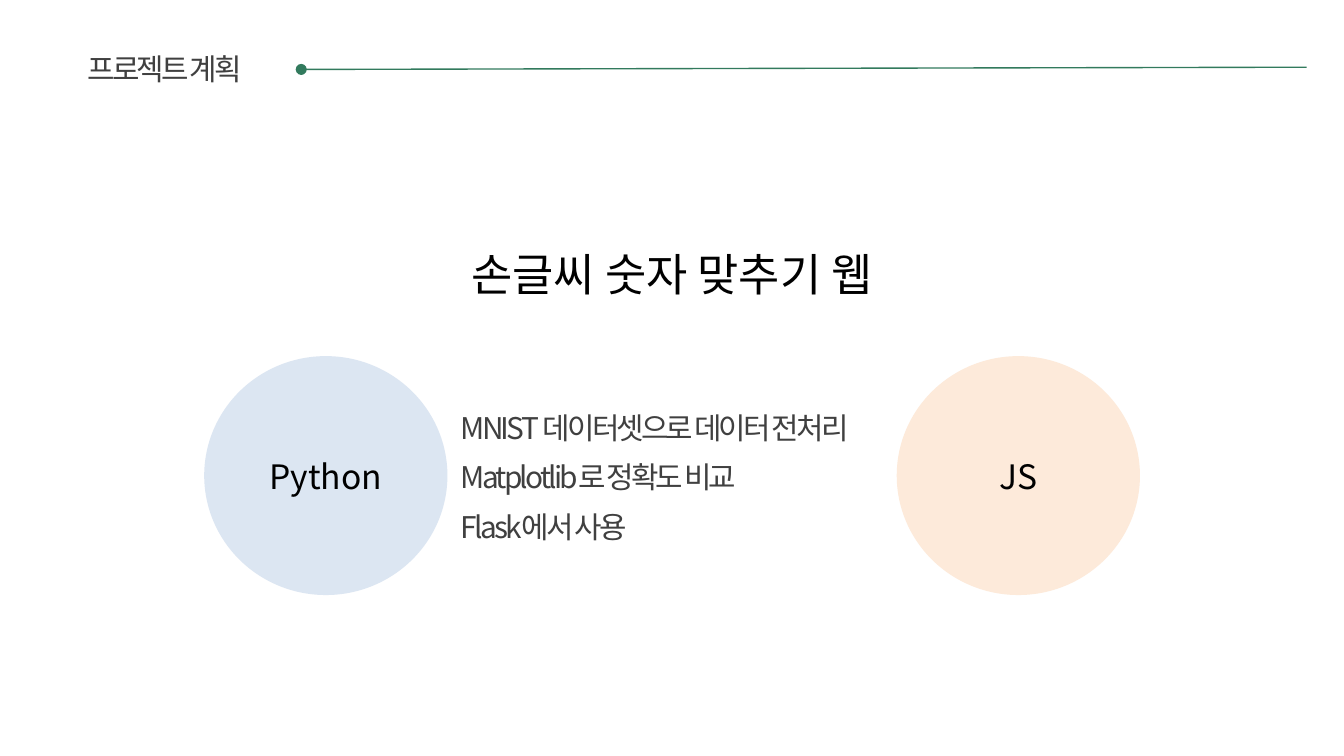
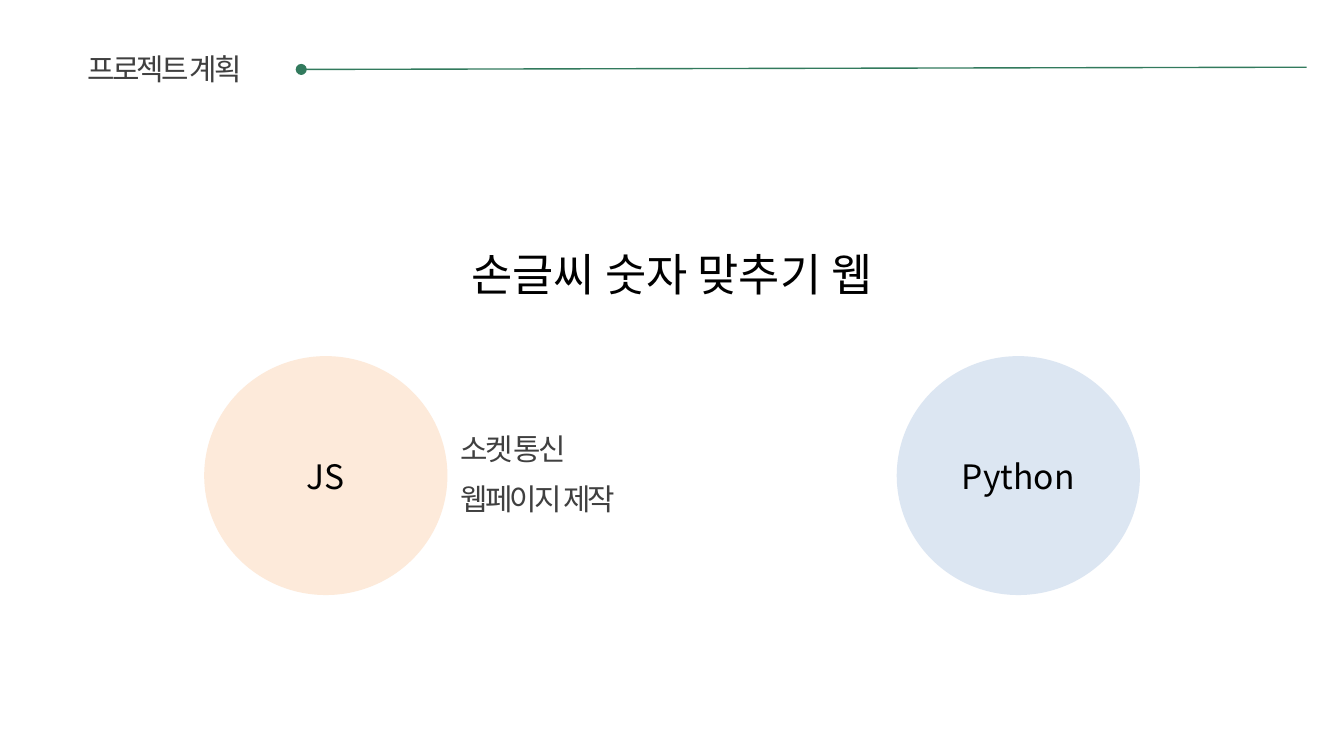
from pptx import Presentation
from pptx.util import Pt
from pptx.dml.color import RGBColor
from pptx.enum.shapes import MSO_CONNECTOR, MSO_SHAPE
from pptx.enum.text import MSO_ANCHOR, MSO_AUTO_SIZE, PP_ALIGN
from pptx.oxml.ns import qn
from lxml.etree import SubElement

FONT = "Noto Sans CJK KR"
GREEN, GRAY, BLACK = "327A5D", "404040", "000000"
BLUE, PEACH = "DCE6F2", "FDEADA"


def rgb(color):
    return RGBColor.from_string(color)


def write(sp, text, size, color, align=PP_ALIGN.CENTER, spacing=None):
    """Fill a shape with one paragraph; spacing is in hundredths of a point."""
    tf = sp.text_frame
    tf.word_wrap = True
    p = tf.paragraphs[0]
    p.text = text
    p.alignment = align
    p.font.size = Pt(size)
    p.font.name = FONT
    p.font.color.rgb = rgb(color)
    props = p._p.pPr.find(qn("a:defRPr"))
    SubElement(props, qn("a:ea")).set("typeface", FONT)
    if spacing:
        props.set("spc", str(spacing))
    return tf


prs = Presentation()
prs.slide_width, prs.slide_height = Pt(720), Pt(405)

# Each slide: left circle, right circle, top of the notes, step, notes
python, js = ("Python", BLUE), ("JS", PEACH)
slides = [
    (python, js, 216, 26.4,
     ["MNIST 데이터셋으로 데이터 전처리", "Matplotlib로 정확도 비교", "Flask에서 사용"]),
    (js, python, 227, 27, ["소켓 통신", "웹페이지 제작"]),
]

for left, right, top, step, notes in slides:
    s = prs.slides.add_slide(prs.slide_layouts[6])

    # Header rule with a round head
    rule = s.shapes.add_connector(
        MSO_CONNECTOR.STRAIGHT, Pt(161.4), Pt(37.2), Pt(700), Pt(36))
    rule.line.color.rgb = rgb(GREEN)
    rule.line.width = Pt(0.75)
    SubElement(rule.line._get_or_add_ln(), qn("a:headEnd")).set("type", "oval")
    SubElement(rule._element.spPr, qn("a:effectLst"))

    # Header and project title
    header = s.shapes.add_textbox(Pt(14.4), Pt(23.8), Pt(147.6), Pt(26.6))
    tf = write(header, "프로젝트 계획", 16, GRAY, spacing=-150)
    tf.auto_size = MSO_AUTO_SIZE.SHAPE_TO_FIT_TEXT
    title = s.shapes.add_textbox(Pt(54), Pt(100), Pt(612), Pt(116))
    tf = write(title, "손글씨 숫자 맞추기 웹", 24, BLACK)
    tf.auto_size = MSO_AUTO_SIZE.SHAPE_TO_FIT_TEXT
    tf.paragraphs[0].line_spacing = 2.0

    # Language circles
    for x, (name, fill) in zip((109.4, 480.4), (left, right)):
        sp = s.shapes.add_shape(MSO_SHAPE.OVAL, Pt(x), Pt(190.8), Pt(130.3), Pt(128))
        sp.shadow.inherit = False
        sp.fill.solid()
        sp.fill.fore_color.rgb = rgb(fill)
        sp.line.fill.background()
        tf = write(sp, name, 18, BLACK)
        tf.vertical_anchor = MSO_ANCHOR.MIDDLE

    # Notes beside the left circle
    for i, note in enumerate(notes):
        sp = s.shapes.add_textbox(Pt(239.8), Pt(top + i * step), Pt(260.6), Pt(26.6))
        tf = write(sp, note, 16, GRAY, PP_ALIGN.LEFT, -150)
        tf.auto_size = MSO_AUTO_SIZE.SHAPE_TO_FIT_TEXT

prs.save("out.pptx")
